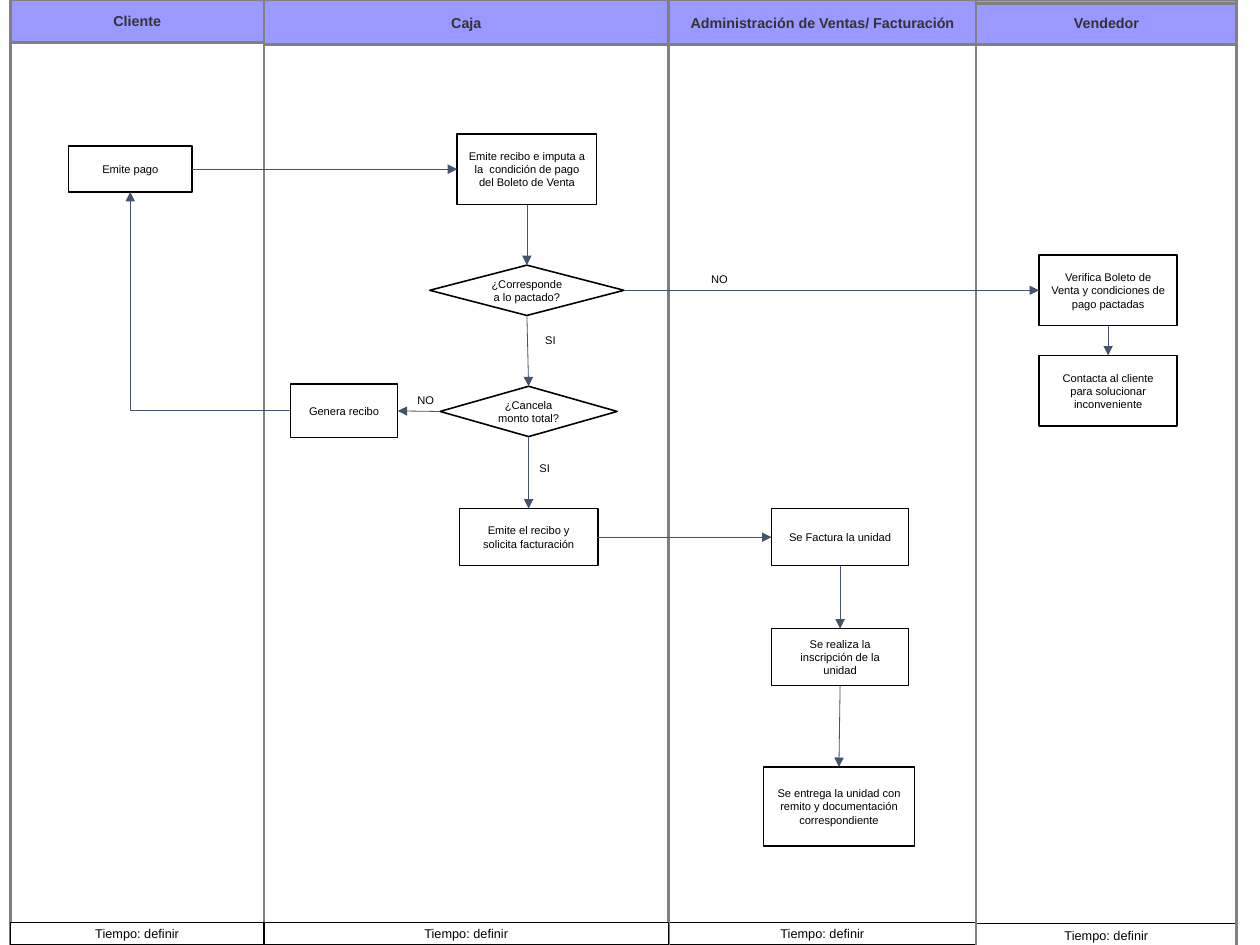
from lxml.etree import SubElement
from pptx import Presentation
from pptx.dml.color import RGBColor
from pptx.enum.shapes import MSO_CONNECTOR, MSO_SHAPE
from pptx.enum.text import MSO_ANCHOR, PP_ALIGN
from pptx.oxml.ns import qn
from pptx.util import Inches, Pt

CM_PER_INCH = 2.54
SLIDE_CM = (28, 21)

LANES = [
    ("Administración de Ventas/ Facturación", 5.85, 2.69, 0.39, 8.07, 0),
    ("Caja", 2.31, 3.54, 0.39, 8.07, 0),
    ("Cliente", 0.09, 2.22, 0.37, 8.07, 0),
    ("Vendedor", 8.54, 2.28, 0.39, 8.08, 0.03),
]
FOOTER = "Tiempo: definir"
LANE_HEIGHT = 8.27
FOOTER_HEIGHT = 0.2

STEPS = {
    "pago": ("Emite pago", 0.6, 1.28, 1.08, 0.4),
    "imputa": ("Emite recibo e imputa a la  condición de pago del Boleto de Venta",
               4, 1.17, 1.22, 0.62),
    "verifica": ("Verifica Boleto de Venta y condiciones de pago pactadas",
                 9.09, 2.23, 1.21, 0.62),
    "contacta": ("Contacta al cliente para solucionar inconveniente",
                 9.09, 3.11, 1.21, 0.62),
    "solicita": ("Emite el recibo y solicita facturación", 4.02, 4.45, 1.21, 0.5),
    "factura": ("Se Factura la unidad", 6.75, 4.45, 1.2, 0.5),
    "inscribe": ("Se realiza la inscripción de la unidad", 6.75, 5.5, 1.2, 0.5),
    "entrega": ("Se entrega la unidad con remito y documentación correspondiente",
                6.68, 6.71, 1.32, 0.69),
    "genera": ("Genera recibo", 2.54, 3.36, 0.94, 0.47),
}
DECISIONS = {
    "pactado": ("¿Corresponde a lo pactado?", 3.76, 2.32, 1.7, 0.44),
    "total": ("¿Cancela monto total?", 3.85, 3.38, 1.55, 0.44),
}
TOP, LEFT, BOTTOM, RIGHT = range(4)
FLOWS = [
    ("pago", RIGHT, "imputa", LEFT),
    ("imputa", BOTTOM, "pactado", TOP),
    ("pactado", BOTTOM, "total", TOP),
    ("total", BOTTOM, "solicita", TOP),
    ("solicita", RIGHT, "factura", LEFT),
    ("factura", BOTTOM, "inscribe", TOP),
    ("inscribe", BOTTOM, "entrega", TOP),
    ("pactado", RIGHT, "verifica", LEFT),
    ("verifica", BOTTOM, "contacta", TOP),
    ("total", LEFT, "genera", RIGHT),
    ("genera", LEFT, "pago", BOTTOM),
]
LABELS = [
    ("SI", 4.62, 3.99, 0.29, 0.54),
    ("NO", 3.51, 3.39, 0.43, 0.2),
    ("SI", 4.67, 2.87, 0.29, 0.54),
    ("NO", 6.08, 2.33, 0.43, 0.2),
]

prs = Presentation()
prs.slide_width, prs.slide_height = (Inches(side / CM_PER_INCH) for side in SLIDE_CM)
s = prs.slides.add_slide(prs.slide_layouts[6])


def color(value):
    return RGBColor.from_string(value)


def write(sp, text, size, ink="000000", bold=False, wrap=True, anchor=MSO_ANCHOR.MIDDLE):
    tf = sp.text_frame
    tf.word_wrap = wrap
    tf.vertical_anchor = anchor
    p = tf.paragraphs[0]
    p.alignment = PP_ALIGN.CENTER
    r = p.add_run()
    r.text = text
    r.font.name, r.font.size, r.font.bold = "Arial", Pt(size), bold
    r.font.color.rgb = color(ink)


def add_box(box, fill="FFFFFF", line="000000", width=1, kind=MSO_SHAPE.RECTANGLE):
    sp = s.shapes.add_shape(kind, *map(Inches, box))
    sp.shadow.inherit = False
    if fill:
        sp.fill.solid()
        sp.fill.fore_color.rgb = color(fill)
    else:
        sp.fill.background()
    sp.line.color.rgb = color(line)
    sp.line.width = Pt(width)
    return sp


def add_flow(start, start_side, end, end_side):
    straight = (start_side - end_side) % 2 == 0
    kind = MSO_CONNECTOR.STRAIGHT if straight else MSO_CONNECTOR.ELBOW
    c = s.shapes.add_connector(kind, 0, 0, 0, 0)
    c.begin_connect(start, start_side)
    c.end_connect(end, end_side)
    c.line.color.rgb = color("44546A")
    c.line.width = Pt(0.5)
    pr = c._element.spPr
    if not straight:
        pr.find(qn("a:prstGeom")).set("prst", "bentConnector2")
    SubElement(pr.find(qn("a:ln")), qn("a:tailEnd"), type="triangle")
    SubElement(pr, qn("a:effectLst"))


def add_frame(x, y, w):
    add_box((x, y, w, LANE_HEIGHT), None, "808080", 1.7)


def add_footer(x, y, w):
    write(add_box((x, y, w, FOOTER_HEIGHT)), FOOTER, 8)


for name, x, w, header_height, footer_top, frame_top in LANES:
    header = add_box((x, 0, w, header_height), "9999FF", "808080", 1.7)
    write(header, name, 9, "333333", True)
    parts = [(add_frame, frame_top), (add_footer, footer_top)]
    for add_part, y in reversed(parts) if frame_top else parts:
        add_part(x, y, w)

nodes = {}
for group, kind in ((STEPS, MSO_SHAPE.RECTANGLE), (DECISIONS, MSO_SHAPE.DIAMOND)):
    for key, (text, *box) in group.items():
        nodes[key] = add_box(box, kind=kind)
        write(nodes[key], text, 7)

for start, start_side, end, end_side in FLOWS:
    add_flow(nodes[start], start_side, nodes[end], end_side)

for text, *box in LABELS:
    label = s.shapes.add_textbox(*map(Inches, box))
    write(label, text, 7, wrap=False, anchor=MSO_ANCHOR.TOP)

prs.save("out.pptx")
